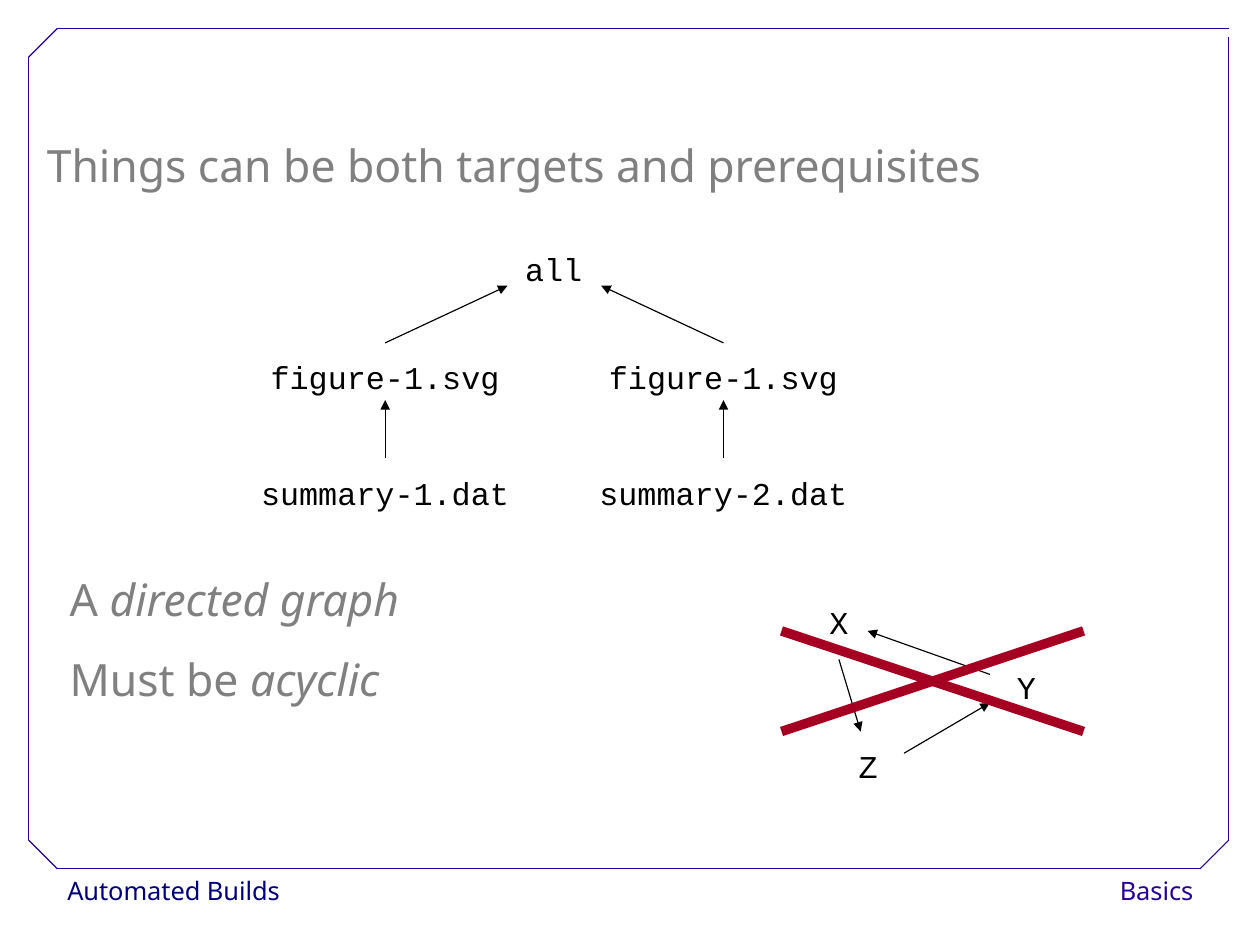
from dataclasses import dataclass

from lxml.etree import SubElement
from pptx import Presentation
from pptx.dml.color import RGBColor
from pptx.enum.shapes import MSO_CONNECTOR
from pptx.enum.text import MSO_ANCHOR as Anchor, MSO_AUTO_SIZE as AutoSize, PP_ALIGN as Align
from pptx.oxml.ns import qn
from pptx.util import Pt


@dataclass(frozen=True)
class Theme:
    text_font: str = "Noto Sans"
    code_font: str = "Courier New"
    heading_size: float = 28
    code_size: float = 20
    footer_size: float = 16
    paper: RGBColor = RGBColor(0xFF, 0xFF, 0xFF)
    ink: RGBColor = RGBColor(0, 0, 0)
    heading: RGBColor = RGBColor(0x80, 0x80, 0x80)
    course: RGBColor = RGBColor(0, 0, 0x80)
    frame: RGBColor = RGBColor(0x28, 0, 0x99)
    cross: RGBColor = RGBColor(0xA5, 0, 0x21)


THEME = Theme()
CODE_HEIGHT = 45.36
HEADING = {"name": THEME.text_font, "size": Pt(THEME.heading_size), "bold": False}
CODE = {"name": THEME.code_font, "size": Pt(THEME.code_size)}
FOOTER = {"name": THEME.text_font, "size": Pt(THEME.footer_size)}


def set_values(target, values):
    for name, value in values.items():
        setattr(target, name, value)


def add_run(paragraph, text, font_values, color):
    run = paragraph.add_run()
    run.text = text
    set_values(run.font, font_values)
    run.font.color.rgb = color


def place(shape, left, top, width, height, wrap=True):
    set_values(shape, {"left": Pt(left), "top": Pt(top), "width": Pt(width), "height": Pt(height)})
    set_values(shape.text_frame, {
        "word_wrap": wrap, "auto_size": AutoSize.NONE, "vertical_anchor": Anchor.TOP,
        "margin_left": Pt(7.2), "margin_right": Pt(7.2),
        "margin_top": Pt(3.6), "margin_bottom": Pt(3.6),
    })


def fill_placeholder(shape, box, lines):
    """Each line is a list of (text, italic) pairs."""
    place(shape, *box)
    frame = shape.text_frame
    for index, line in enumerate(lines):
        paragraph = frame.add_paragraph() if index else frame.paragraphs[0]
        properties = paragraph._p.get_or_add_pPr()
        properties.set("marL", "0")
        properties.set("indent", "0")
        SubElement(properties, qn("a:buNone"))
        set_values(paragraph, {"alignment": Align.LEFT, "line_spacing": 1.5,
                               "space_before": Pt(0), "space_after": Pt(0)})
        for text, italic in line:
            add_run(paragraph, text, {**HEADING, "italic": italic}, THEME.heading)


def add_text(slide, text, box, align, spacing, font_values, color, wrap=True):
    shape = slide.shapes.add_textbox(0, 0, 0, 0)
    place(shape, *box, wrap)
    paragraph = shape.text_frame.paragraphs[0]
    set_values(paragraph, {"alignment": align, "line_spacing": spacing})
    add_run(paragraph, text, font_values, color)
    return shape


def add_node(slide, text, center, top, width=136):
    box = (center - width / 2, top, width, CODE_HEIGHT)
    add_text(slide, text, box, Align.CENTER, 1.25, CODE, THEME.ink, wrap=False)


def add_footer(slide, text, left, width, align, color):
    shape = add_text(slide, text, (left, 547.2, width, 28.8), align, 1.02, FOOTER, color)
    shape.fill.solid()
    shape.fill.fore_color.rgb = THEME.paper


def add_line(slide, start, end, color, width=0.75, arrow=False):
    points = [Pt(value) for value in (*start, *end)]
    connector = slide.shapes.add_connector(MSO_CONNECTOR.STRAIGHT, *points)
    connector.line.color.rgb = color
    connector.line.width = Pt(width)
    if arrow:
        SubElement(connector.line._get_or_add_ln(), qn("a:tailEnd"), type="triangle")
    SubElement(connector._element.spPr, qn("a:effectLst"))


def add_arrow(slide, start, end):
    add_line(slide, start, end, THEME.ink, arrow=True)


def add_frame(slide):
    left, top, right, bottom, corner = 18, 18, 774, 547.2, 18
    low = bottom - corner
    for start, end in (
        ((left + corner, bottom), (right - corner, bottom)),
        ((left, low), (left, top + corner)),
        ((left + corner, top), (right, top)),
        ((right, low), (right, 23.04)),
        ((left, top + corner), (left + corner, top)),
        ((right - corner, bottom), (right, low)),
        ((left, low), (left + corner, bottom)),
    ):
        add_line(slide, start, end, THEME.frame)


def add_dependency_graph(slide):
    root_center, figure_top, summary_top = 348.84, 216, 288.72
    add_node(slide, "all", root_center, 147.6, 50)
    branches = (
        (242.64, 319.68, "figure-1.svg", "summary-1.dat"),
        (455.76, 378.72, "figure-1.svg", "summary-2.dat"),
    )
    for center, root_edge, figure, summary in branches:
        add_node(slide, figure, center, figure_top)
        add_node(slide, summary, center, summary_top)
        add_arrow(slide, (center, figure_top), (root_edge, 180))
        add_arrow(slide, (center, summary_top), (center, 252))


def add_forbidden_cycle(slide):
    for name, center, top in (("X", 528.48, 370.08), ("Y", 646.56, 411.12), ("Z", 546.84, 460.8)):
        add_node(slide, name, center, top, 36)
    add_arrow(slide, (569.52, 474.48), (623.52, 442.8))
    add_arrow(slide, (623.52, 424.8), (546.48, 397.44))
    add_arrow(slide, (528.48, 415.44), (542.16, 460.8))
    # Cross over the cycle
    left, right, top, bottom = 492.3, 682.56, 397.44, 460.8
    for first, last in ((top, bottom), (bottom, top)):
        add_line(slide, (left, first), (right, last), THEME.cross, width=6)


def main():
    presentation = Presentation()
    presentation.slide_width, presentation.slide_height = Pt(793.7), Pt(595.28)
    slide = presentation.slides.add_slide(presentation.slide_layouts[1])

    # Footers and page frame
    add_footer(slide, "Automated Builds", 35.28, 154.8, Align.LEFT, THEME.course)
    add_footer(slide, "Basics", 658.08, 100.8, Align.RIGHT, THEME.frame)
    add_frame(slide)

    # Title and statements
    fill_placeholder(slide.shapes.title, (22.32, 66.24, 676, 57.6),
                     [[("Things can be both targets and prerequisites", False)]])
    fill_placeholder(slide.placeholders[1], (36.72, 339.84, 294.5, 108),
                     [[("A ", False), ("directed graph", True)],
                      [("Must be ", False), ("acyclic", True)]])

    # Diagrams
    add_dependency_graph(slide)
    add_forbidden_cycle(slide)
    presentation.save("out.pptx")


if __name__ == "__main__":
    main()
